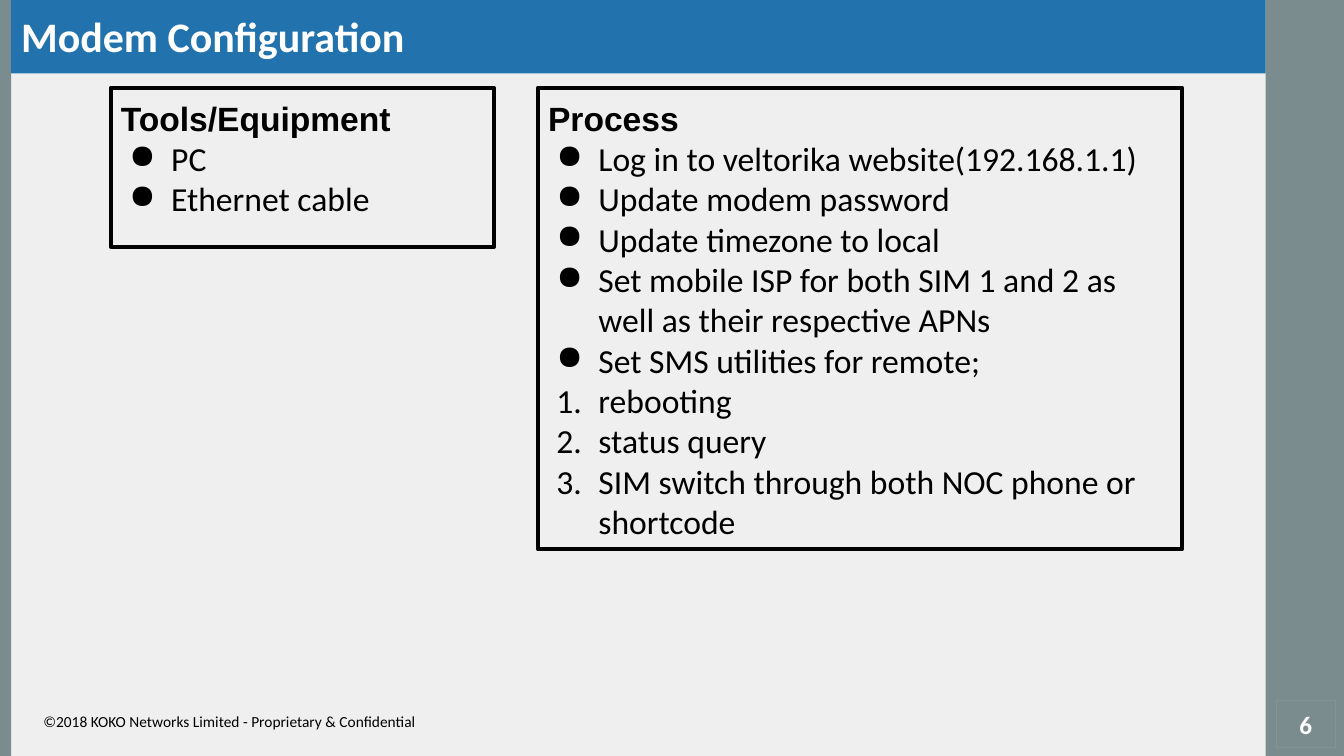
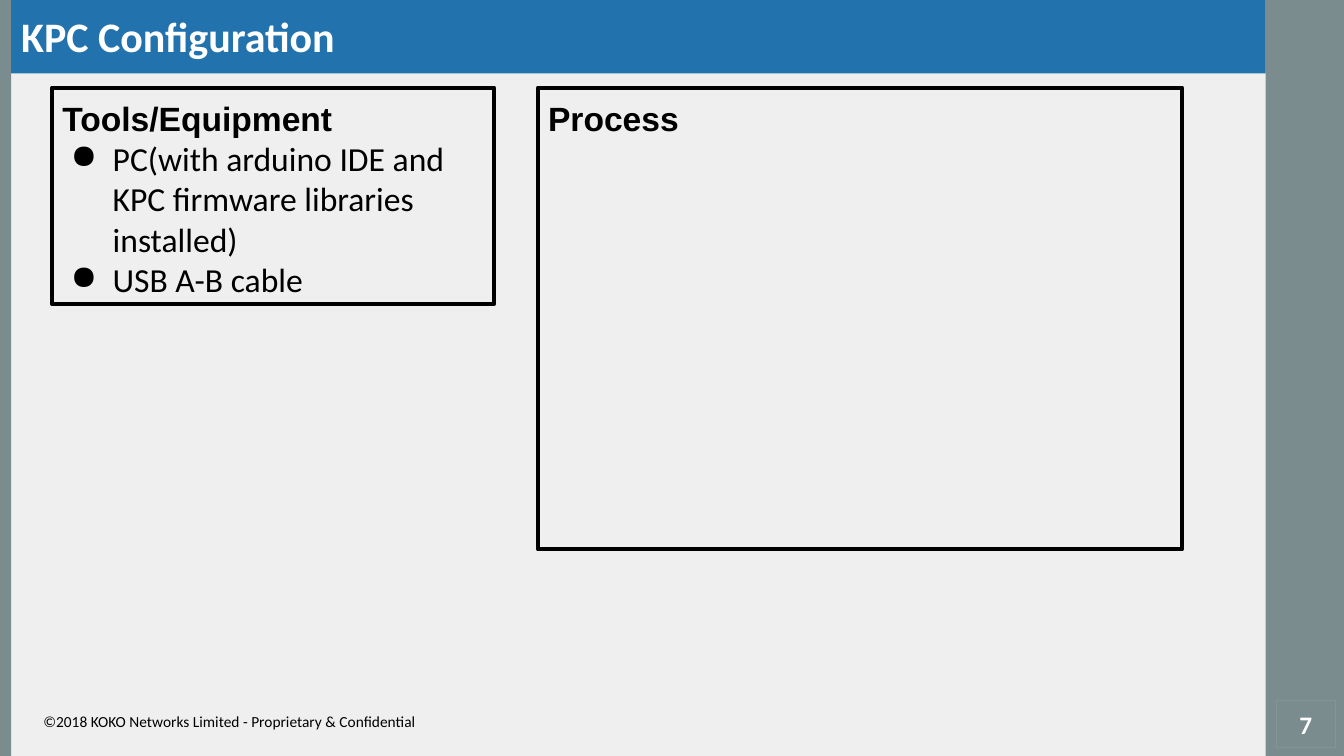
from lxml.etree import SubElement
from pptx import Presentation
from pptx.dml.color import RGBColor
from pptx.enum.shapes import MSO_SHAPE as Preset
from pptx.enum.text import MSO_ANCHOR as Anchor, PP_ALIGN as Align
from pptx.oxml.ns import qn
from pptx.util import Pt

COLORS = {
    "background": "EFEFEF",
    "side": "7A8C8E",
    "title": "2172AD",
    "number": "859597",
    "dark": "000000",
    "light": "FFFFFF",
}
FONTS = {
    "title": {"name": "Calibri", "size": Pt(30), "bold": True},
    "heading": {"name": "Arial", "size": Pt(24), "bold": True},
    "body": {"name": "Calibri", "size": Pt(24), "bold": False},
    "number": {"name": "Calibri", "size": Pt(18), "bold": True},
    "footer": {"name": "Calibri", "size": Pt(11), "bold": False},
}
WIDTH, HEIGHT = 960, 540
LEFT_BAND, RIGHT_BAND = 8, 56
PANEL_TOP, TOOLS_RIGHT = 62.6, 352.8
PROCESS_LEFT, PROCESS_WIDTH, PROCESS_HEIGHT = 384.4, 460, 329.8
FOOTER = "©2018 KOKO Networks Limited - Proprietary & Confidential"
BULLET = ("a:buChar", {"char": "●"})
NUMBER = ("a:buAutoNum", {"type": "arabicPeriod"})


class Deck:
    """Hold the shared style and the current slide of the training deck."""

    def __init__(self):
        self.presentation = Presentation()
        self.presentation.slide_width = Pt(WIDTH)
        self.presentation.slide_height = Pt(HEIGHT)
        self.slide = None

    def color(self, name):
        return RGBColor.from_string(COLORS[name])

    def box(self, left, top, width, height, fill=None, line=None, weight=0):
        shape = self.slide.shapes.add_shape(
            Preset.RECTANGLE, Pt(left), Pt(top), Pt(width), Pt(height))
        shape.shadow.inherit = False
        if fill:
            shape.fill.solid()
            shape.fill.fore_color.rgb = self.color(fill)
        else:
            shape.fill.background()
        if line:
            shape.line.color.rgb = self.color(line)
            shape.line.width = Pt(weight)
        else:
            shape.line.fill.background()
        return shape

    def frame(self, shape, vertical=7.2, anchor=Anchor.TOP):
        layout = {
            "word_wrap": True,
            "vertical_anchor": anchor,
            "margin_left": Pt(7.2),
            "margin_right": Pt(7.2),
            "margin_top": Pt(vertical),
            "margin_bottom": Pt(vertical),
        }
        for name, value in layout.items():
            setattr(shape.text_frame, name, value)
        return shape.text_frame

    def add_text(self, paragraph, text, style, color="dark", align=Align.LEFT):
        paragraph.alignment = align
        run = paragraph.add_run()
        run.text = text
        for name, value in FONTS[style].items():
            setattr(run.font, name, value)
        run.font.color.rgb = self.color(color)

    def list_item(self, text_frame, text, marker):
        paragraph = text_frame.add_paragraph()
        properties = paragraph._p.get_or_add_pPr()
        properties.set("marL", str(Pt(36)))
        properties.set("indent", str(Pt(-30)))
        marker_color = SubElement(properties, qn("a:buClr"))
        SubElement(marker_color, qn("a:srgbClr"), val=COLORS["dark"])
        tag, attributes = marker
        SubElement(properties, qn(tag), attributes)
        self.add_text(paragraph, text, "body")

    def panel(self, left, width, height, heading, bullets=(), steps=()):
        shape = self.box(left, PANEL_TOP, width, height, line="dark", weight=3)
        text_frame = self.frame(shape)
        self.add_text(text_frame.paragraphs[0], heading, "heading")
        for marker, items in ((BULLET, bullets), (NUMBER, steps)):
            for text in items:
                self.list_item(text_frame, text, marker)

    def tools(self, left, height, bullets):
        self.panel(left, TOOLS_RIGHT - left, height, "Tools/Equipment", bullets)

    def process(self, bullets=(), steps=()):
        self.panel(PROCESS_LEFT, PROCESS_WIDTH, PROCESS_HEIGHT, "Process", bullets, steps)

    def footer(self):
        shape = self.slide.shapes.add_textbox(Pt(23.8), Pt(505.4), Pt(286.6), Pt(20.9))
        self.add_text(self.frame(shape, 3.6).paragraphs[0], FOOTER, "footer")

    def page_number(self, number):
        shape = self.box(911.5, 500.4, 42.5, 33.8, line="number", weight=0.75)
        text_frame = self.frame(shape, 3.6, Anchor.MIDDLE)
        self.add_text(text_frame.paragraphs[0], str(number), "number", "light", Align.CENTER)

    def title(self, text):
        width = WIDTH - LEFT_BAND - RIGHT_BAND
        shape = self.box(LEFT_BAND, 0, width, 52.4, fill="title")
        self.add_text(self.frame(shape).paragraphs[0], text, "title", "light")

    def new_slide(self, title, number):
        self.slide = self.presentation.slides.add_slide(self.presentation.slide_layouts[6])
        background = self.slide.background.fill
        background.solid()
        background.fore_color.rgb = self.color("background")
        self.box(WIDTH - RIGHT_BAND, 0, RIGHT_BAND, HEIGHT, fill="side")
        self.box(0, 0, LEFT_BAND, HEIGHT, fill="side")
        self.footer()
        self.title(title)
        self.page_number(number)


def main():
    deck = Deck()

    deck.new_slide("Modem Configuration", 6)
    deck.tools(79.2, 113.8, ["PC", "Ethernet cable"])
    deck.process(
        bullets=[
            "Log in to veltorika website(192.168.1.1)",
            "Update modem password",
            "Update timezone to local",
            "Set mobile ISP for both SIM 1 and 2 as well as their respective APNs",
            "Set SMS utilities for remote;",
        ],
        steps=[
            "rebooting",
            "status query",
            "SIM switch through both NOC phone or shortcode",
        ],
    )

    deck.new_slide("KPC Configuration", 7)
    deck.tools(37.4, 154.8, [
        "PC(with arduino IDE and KPC firmware libraries installed)",
        "USB A-B cable",
    ])
    deck.process()

    deck.presentation.save("out.pptx")


if __name__ == "__main__":
    main()
